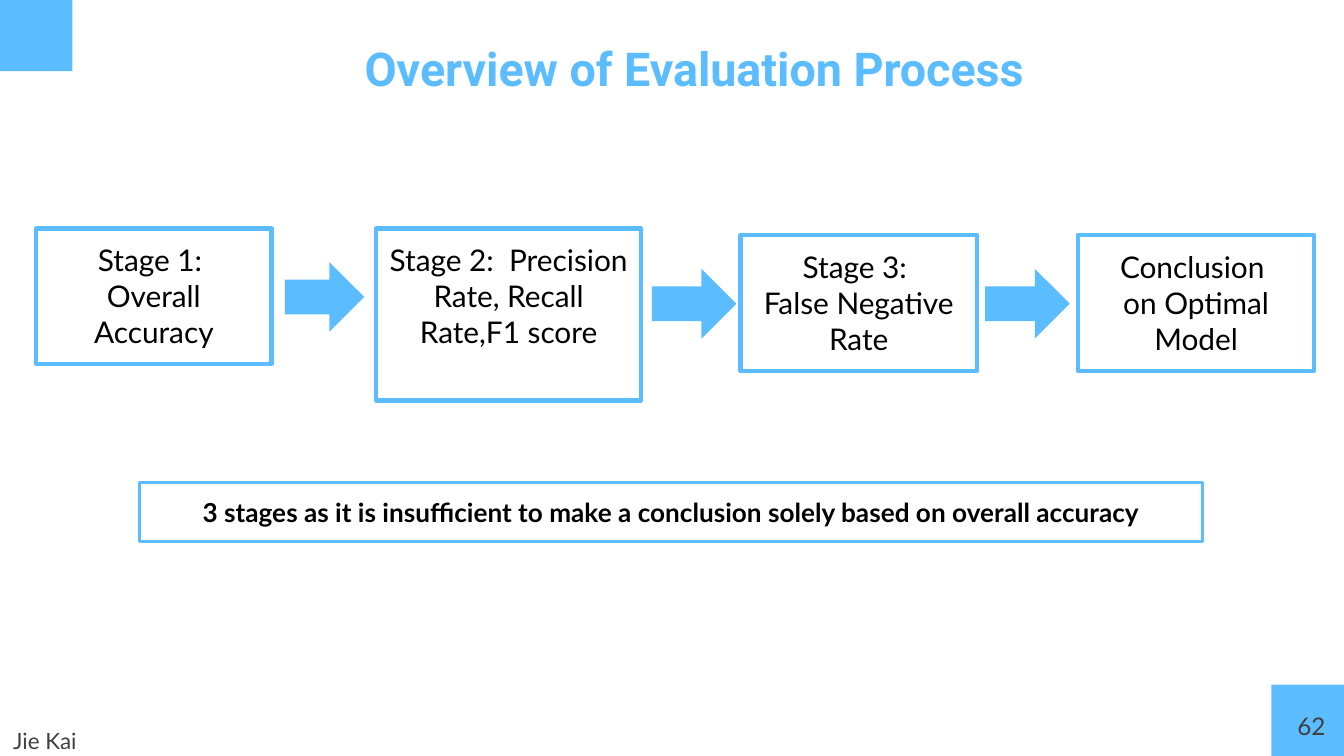
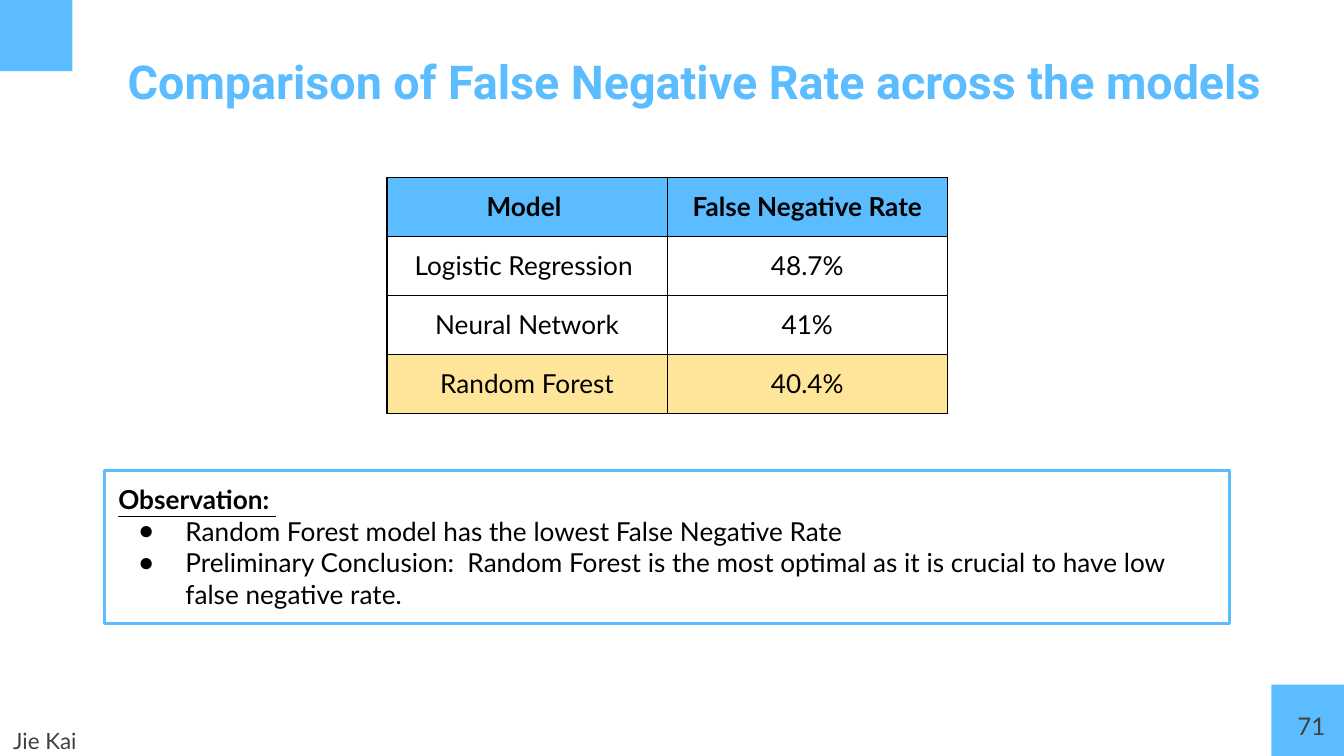
from dataclasses import dataclass

from lxml.etree import SubElement
from pptx import Presentation
from pptx.dml.color import RGBColor
from pptx.enum.shapes import MSO_SHAPE as Preset
from pptx.enum.text import MSO_ANCHOR as Anchor, MSO_AUTO_SIZE as AutoSize, PP_ALIGN as Align
from pptx.oxml.ns import qn
from pptx.util import Inches, Pt

BLUE = "5BBDFF"
BLACK = "000000"
GREY = "404040"
HIGHLIGHT = "FFE599"
HEADING_FONT = "Roboto"
BODY_FONT = "Lato"
PAGE_WIDTH = 10
PAGE_HEIGHT = PAGE_WIDTH * 9 / 16
CORNER_WIDTH, CORNER_HEIGHT = 0.54, 0.53
INSET = Inches(0.1)


@dataclass(frozen=True)
class Area:
    left: float
    top: float
    width: float
    height: float

    def lengths(self) -> tuple:
        return tuple(Inches(n) for n in (self.left, self.top, self.width, self.height))


@dataclass(frozen=True)
class Style:
    size: float
    color: str = BLACK
    font: str = BODY_FONT
    bold: bool = False
    underline: bool = False


@dataclass(frozen=True)
class Stage:
    area: Area
    lines: tuple[str, ...]


TITLE = Style(25, BLUE, HEADING_FONT, bold=True)
STAGE = Style(16)
BODY = Style(14)
STRONG = Style(14, bold=True)
LABEL = Style(14, bold=True, underline=True)
PRESENTER = Style(12, GREY)
NUMBER = Style(13, GREY)

STAGES = (
    Stage(Area(0.27, 1.7, 1.75, 1.01), ("Stage 1:  Overall Accuracy",)),
    Stage(Area(2.8, 1.7, 1.97, 1.28), ("Stage 2:  Precision Rate, Recall Rate,F1 score",)),
    Stage(Area(5.51, 1.75, 1.76, 1.01), ("Stage 3: ", "False Negative Rate")),
    Stage(Area(8.02, 1.75, 1.76, 1.01), ("Conclusion ", "on Optimal Model")),
)
ARROWS = (
    Area(2.12, 1.95, 0.59, 0.52),
    Area(4.85, 2, 0.63, 0.52),
    Area(7.33, 2, 0.63, 0.52),
)
RATES = (
    ("Model ", "False Negative Rate"),
    ("Logistic Regression ", "48.7%"),
    ("Neural Network", "41%"),
    ("Random Forest", "40.4%"),
)
FINDINGS = (
    "Random Forest model has the lowest False Negative Rate",
    "Preliminary Conclusion:  Random Forest is the most optimal as it is crucial "
    "to have low false negative rate.",
)


def rgb(color: str) -> RGBColor:
    return RGBColor.from_string(color)


# Text
def prepare_frame(frame, anchor=Anchor.TOP) -> None:
    frame.word_wrap = True
    frame.auto_size = AutoSize.NONE
    frame.vertical_anchor = anchor
    frame.margin_left = frame.margin_right = INSET
    frame.margin_top = frame.margin_bottom = INSET


def add_span(para, text: str, style: Style) -> None:
    span = para.add_run()
    span.text = text
    font = span.font
    font.name, font.size = style.font, Pt(style.size)
    font.bold, font.underline = style.bold, style.underline
    font.color.rgb = rgb(style.color)


def write_lines(frame, lines, style: Style, align=Align.CENTER) -> None:
    for index, line in enumerate(lines):
        para = frame.add_paragraph() if index else frame.paragraphs[0]
        para.alignment = align
        para.space_before = Pt(0)
        add_span(para, line, style)


def set_bullet(para, symbol: str | None) -> None:
    properties = para._p.get_or_add_pPr()
    properties.set("marL", str(Inches(0.5 if symbol else 0)))
    properties.set("indent", str(Inches(-0.35 if symbol else 0)))
    if symbol:
        color = SubElement(properties, qn("a:buClr"))
        SubElement(color, qn("a:srgbClr"), val=BLACK)
        SubElement(properties, qn("a:buChar"), char=symbol)
    else:
        SubElement(properties, qn("a:buNone"))


# Shapes
def add_solid(page, preset, area: Area) -> None:
    shape = page.shapes.add_shape(preset, *area.lengths())
    shape.shadow.inherit = False
    shape.fill.solid()
    shape.fill.fore_color.rgb = rgb(BLUE)
    shape.line.fill.background()


def outline(shape, weight: float) -> None:
    shape.fill.background()
    shape.line.color.rgb = rgb(BLUE)
    shape.line.width = Pt(weight)


def add_framed_text(page, area: Area, lines, style: Style, weight: float) -> None:
    box = page.shapes.add_shape(Preset.RECTANGLE, *area.lengths())
    box.shadow.inherit = False
    outline(box, weight)
    prepare_frame(box.text_frame)
    write_lines(box.text_frame, lines, style)


def add_label(page, area: Area, text: str, style: Style, align, anchor=Anchor.TOP):
    box = page.shapes.add_textbox(*area.lengths())
    prepare_frame(box.text_frame, anchor)
    write_lines(box.text_frame, (text,), style, align)
    return box


def place(placeholder, area: Area) -> None:
    (placeholder.left, placeholder.top,
     placeholder.width, placeholder.height) = area.lengths()
    prepare_frame(placeholder.text_frame)


# Parts shared by the slides
def add_page(deck, layout: int, title: str, title_top: float, number: int):
    page = deck.slides.add_slide(deck.slide_layouts[layout])
    for left, top in ((0, 0), (PAGE_WIDTH - CORNER_WIDTH, PAGE_HEIGHT - CORNER_HEIGHT)):
        add_solid(page, Preset.RECTANGLE, Area(left, top, CORNER_WIDTH, CORNER_HEIGHT))
    place(page.shapes.title, Area(0.65, title_top, 9.03, 0.63))
    write_lines(page.shapes.title.text_frame, (title,), TITLE)
    add_label(page, Area(9.36, 5.19, 0.6, 0.43), str(number), NUMBER, Align.RIGHT)
    presenter = add_label(page, Area(0, 5.37, 2.79, 0.25), "Jie Kai", PRESENTER,
                          Align.LEFT, Anchor.MIDDLE)
    presenter.text_frame.paragraphs[0].line_spacing = 1.15
    return page


# Table
def border_cell(cell) -> None:
    properties = cell._tc.get_or_add_tcPr()
    for index, side in enumerate(("a:lnL", "a:lnR", "a:lnT", "a:lnB")):
        line = properties.makeelement(qn(side), {"w": str(Pt(0.75))})
        fill = SubElement(line, qn("a:solidFill"))
        SubElement(fill, qn("a:srgbClr"), val=BLACK)
        properties.insert(index, line)


def add_rate_table(page) -> None:
    area = Area(2.88, 1.32, 4.17, 1.76)
    table = page.shapes.add_table(len(RATES), len(RATES[0]), *area.lengths()).table
    table.horz_banding = False
    fills = {0: BLUE, len(RATES) - 1: HIGHLIGHT}
    for row, values in enumerate(RATES):
        for column, value in enumerate(values):
            cell = table.cell(row, column)
            cell.margin_left = cell.margin_right = INSET
            cell.margin_top = cell.margin_bottom = INSET
            if row in fills:
                cell.fill.solid()
                cell.fill.fore_color.rgb = rgb(fills[row])
            else:
                cell.fill.background()
            write_lines(cell.text_frame, (value,), BODY if row else STRONG)
            border_cell(cell)


# Slides
def build_process(deck) -> None:
    page = add_page(deck, 5, "Overview of Evaluation Process", 0.2, 62)
    for stage in STAGES:
        add_framed_text(page, stage.area, stage.lines, STAGE, 2.25)
    for area in ARROWS:
        add_solid(page, Preset.RIGHT_ARROW, area)
    reason = "3 stages as it is insufficient to make a conclusion solely based on overall accuracy"
    add_framed_text(page, Area(1.04, 3.59, 7.91, 0.44), (reason,), STRONG, 1.5)


def build_comparison(deck) -> None:
    title = "Comparison of False Negative Rate across the models"
    page = add_page(deck, 1, title, 0.29, 71)
    add_rate_table(page)
    observation = page.placeholders[1]
    place(observation, Area(0.78, 3.5, 8.37, 1.14))
    outline(observation, 1.5)
    frame = observation.text_frame
    for index, text in enumerate(("Observation: ", *FINDINGS)):
        para = frame.add_paragraph() if index else frame.paragraphs[0]
        para.space_before = Pt(0)
        set_bullet(para, "●" if index else None)
        add_span(para, text, BODY if index else LABEL)


def main() -> None:
    deck = Presentation()
    deck.slide_width, deck.slide_height = Inches(PAGE_WIDTH), Inches(PAGE_HEIGHT)
    build_process(deck)
    build_comparison(deck)
    deck.save("out.pptx")


if __name__ == "__main__":
    main()
